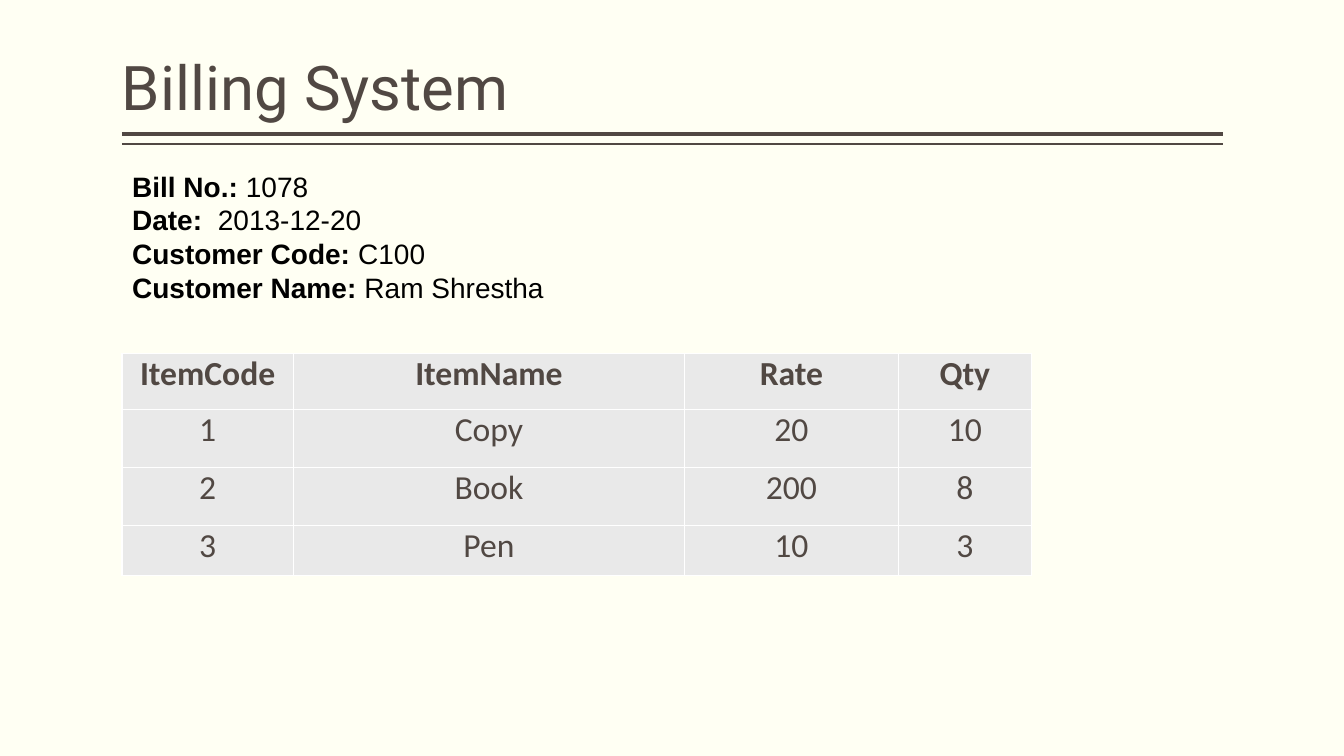
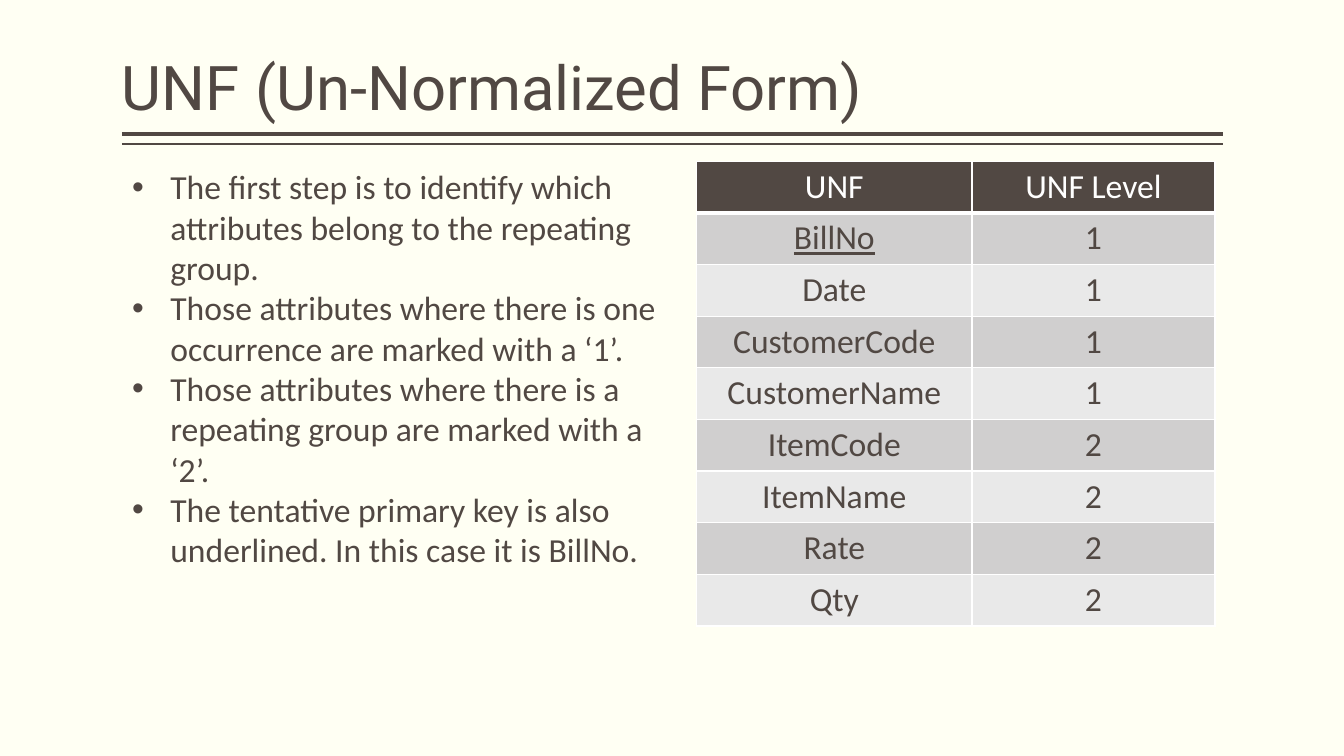
from lxml.etree import SubElement
from pptx import Presentation
from pptx.dml.color import RGBColor
from pptx.enum.shapes import MSO_CONNECTOR
from pptx.enum.text import MSO_ANCHOR, MSO_AUTO_SIZE, PP_ALIGN
from pptx.oxml.ns import qn
from pptx.util import Inches, Pt

HUES = {"page": "FFFFF3", "ink": "514843", "black": "000000", "white": "FFFFFF",
        "pale": "E9E9E9", "grey": "D0CFCF"}
LEFT, WIDTH = 1.21, 10.92
RULES = [(1.33, 3), (1.43, 1)]

SLIDES = [
    {
        "title": "Billing System",
        "body": {
            "box": (LEFT, 1.63, 6.67, 1.45), "font": ("Arial", 20, "black"), "bullet": False,
            "lines": [
                ("Bill No.: ", "1078"),
                ("Date:  ", "2013-12-20"),
                ("Customer Code: ", "C100"),
                ("Customer Name: ", "Ram Shrestha"),
            ],
        },
        "table": {
            "at": (LEFT, 3.51), "cols": [1.7, 3.88, 2.12, 1.32], "rows": [0.55, 0.58, 0.57, 0.5],
            "inset": (0.07, 0), "head": ("pale", "ink", True, 1), "bands": ["pale"], "key": None,
            "cells": [
                ("ItemCode", "ItemName", "Rate", "Qty"),
                ("1", "Copy", "20", "10"),
                ("2", "Book", "200", "8"),
                ("3", "Pen", "10", "3"),
            ],
        },
    },
    {
        "title": "UNF (Un-Normalized Form)",
        "body": {
            "box": (LEFT, 1.6, 5.47, 4.95), "font": ("Calibri", 24, "ink"), "bullet": True,
            "lines": [
                ("", "The first step is to identify which attributes belong to the repeating group."),
                ("", "Those attributes where there is one occurrence are marked with a ‘1’."),
                ("", "Those attributes where there is a repeating group are marked with a ‘2’."),
                ("", "The tentative primary key is also underlined. In this case it is BillNo."),
            ],
        },
        "table": {
            "at": (6.91, 1.6), "cols": [2.73, 2.41], "rows": [4.61 / 9] * 9,
            "inset": (0.1, 0.05), "head": ("ink", "white", False, 3), "bands": ["grey", "pale"],
            "key": "BillNo",
            "cells": [
                ("UNF", "UNF Level"),
                ("BillNo", "1"),
                ("Date", "1"),
                ("CustomerCode", "1"),
                ("CustomerName", "1"),
                ("ItemCode", "2"),
                ("ItemName", "2"),
                ("Rate", "2"),
                ("Qty", "2"),
            ],
        },
    },
]


def hue(name):
    return RGBColor.from_string(HUES[name])


def style(font, face, size, color, bold=False):
    font.name, font.size, font.bold = face, Pt(size), bold
    font.color.rgb = hue(color)


def place(shape, box):
    shape.left, shape.top, shape.width, shape.height = map(Inches, box)


def add_rules(slide, layout):
    for top, weight in RULES:
        rule = slide.shapes.add_connector(
            MSO_CONNECTOR.STRAIGHT, Inches(LEFT), Inches(top), Inches(LEFT + WIDTH), Inches(top))
        rule.line.color.rgb = hue("ink")
        rule.line.width = Pt(weight)
        SubElement(rule.element.spPr, qn("a:effectLst"))
        layout.shapes.element.append(rule.element)


def set_title(shape, text):
    place(shape, (LEFT, 0.08, WIDTH, 1.2))
    frame = shape.text_frame
    frame.text = text
    frame.auto_size = MSO_AUTO_SIZE.NONE
    frame.vertical_anchor = MSO_ANCHOR.BOTTOM
    frame.margin_left = frame.margin_right = 0
    para = frame.paragraphs[0]
    para.alignment, para.line_spacing = PP_ALIGN.LEFT, 0.9
    style(para.runs[0].font, "Roboto", 44, "ink")


def set_bullet(para, shown):
    props = para._p.get_or_add_pPr()
    indent = Inches(0.38) if shown else 0
    props.set("marL", str(indent))
    props.set("indent", str(-indent))
    if shown:
        SubElement(props, qn("a:buFont"), typeface="Arial")
        SubElement(props, qn("a:buChar"), char="•")
    else:
        SubElement(props, qn("a:buNone"))


def set_body(shape, body):
    place(shape, body["box"])
    frame = shape.text_frame
    frame.auto_size = MSO_AUTO_SIZE.NONE
    for i, (label, text) in enumerate(body["lines"]):
        para = frame.add_paragraph() if i else frame.paragraphs[0]
        set_bullet(para, body["bullet"])
        para.space_before = Pt(0)
        for part, bold in ((label, True), (text, False)):
            if part:
                run = para.add_run()
                run.text = part
                style(run.font, *body["font"], bold)


def set_cell(cell, text, fill, color, bold, edges, inset):
    cell.text = text
    cell.margin_left = cell.margin_right = Inches(inset[0])
    cell.margin_top = cell.margin_bottom = Inches(inset[1])
    props = cell._tc.get_or_add_tcPr()
    for side, weight in zip("LRTB", edges):
        line = SubElement(props, qn("a:ln" + side), w=str(Pt(weight)))
        SubElement(SubElement(line, qn("a:solidFill")), qn("a:srgbClr"), val=HUES["white"])
    cell.fill.solid()
    cell.fill.fore_color.rgb = hue(fill)
    para = cell.text_frame.paragraphs[0]
    para.alignment = PP_ALIGN.CENTER
    style(para.runs[0].font, "Calibri", 24, color, bold)


def add_grid(slide, data):
    cols, rows, bands = data["cols"], data["rows"], data["bands"]
    box = map(Inches, (*data["at"], sum(cols), sum(rows)))
    grid = slide.shapes.add_table(len(rows), len(cols), *box).table
    grid.first_row = grid.horz_banding = False
    for col, width in zip(grid.columns, cols):
        col.width = Inches(width)
    for row, height in zip(grid.rows, rows):
        row.height = Inches(height)
    fill, color, bold, weight = data["head"]
    for r, texts in enumerate(data["cells"]):
        if r:
            fill, color, bold = bands[(r - 1) % len(bands)], "ink", False
        edges = (1, 1, weight if r == 1 else 1, 1 if r else weight)
        for c, text in enumerate(texts):
            cell = grid.cell(r, c)
            set_cell(cell, text, fill, color, bold, edges, data["inset"])
            if text == data["key"]:
                cell.text_frame.paragraphs[0].runs[0].font.underline = True


def main():
    deck = Presentation()
    deck.slide_width, deck.slide_height = Inches(13.33), Inches(7.5)
    back = deck.slide_master.background.fill
    back.solid()
    back.fore_color.rgb = hue("page")
    layout = deck.slide_layouts[1]
    for i, data in enumerate(SLIDES):
        slide = deck.slides.add_slide(layout)
        if i == 0:
            add_rules(slide, layout)
        set_title(slide.shapes.title, data["title"])
        set_body(slide.placeholders[1], data["body"])
        add_grid(slide, data["table"])
    deck.save("out.pptx")


if __name__ == "__main__":
    main()
